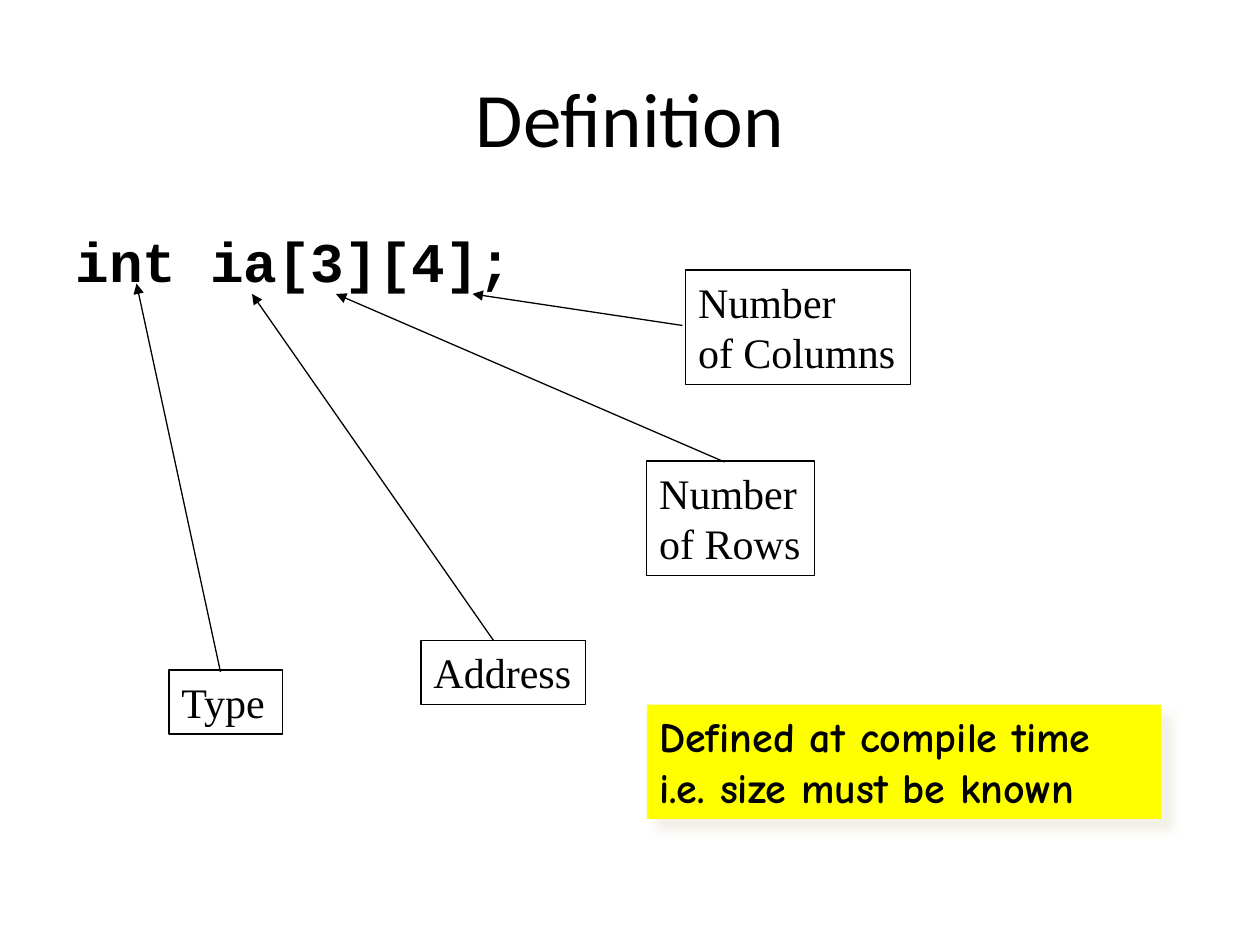
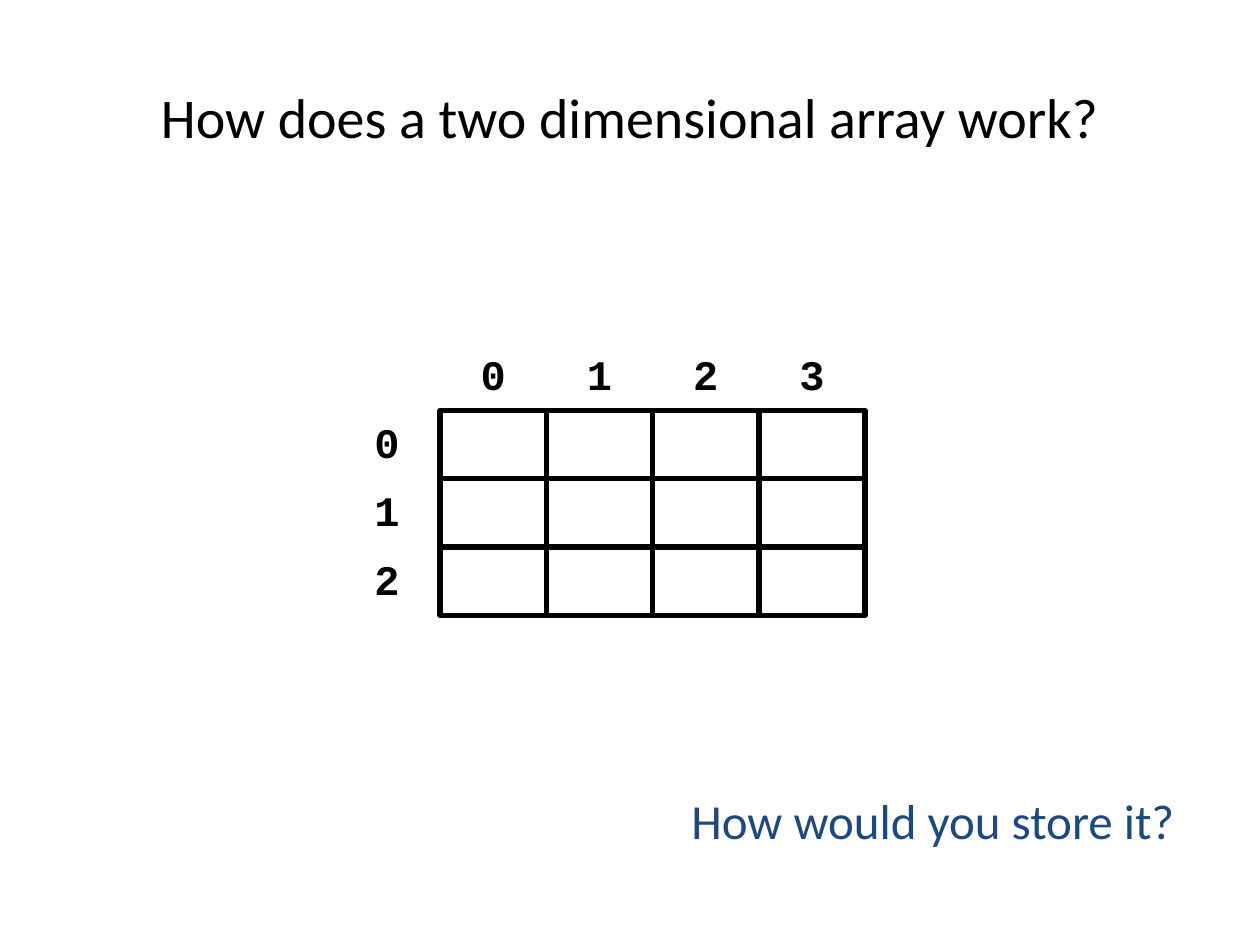
from dataclasses import dataclass

import lxml.etree
import pptx
import pptx.dml.color
import pptx.enum.shapes
import pptx.enum.text
import pptx.oxml
import pptx.oxml.ns
import pptx.util

# Shared grid, colours and text formats
COLUMNS, ROWS = 120, 90
UNIT = pptx.util.Inches(10) // COLUMNS
BLACK, WHITE, YELLOW, NAVY, SAND = "000000", "FFFFFF", "FFFF00", "1F497D", "EEECE1"
ALIGN = pptx.enum.text.PP_ALIGN
ANCHOR = pptx.enum.text.MSO_ANCHOR
RECTANGLE = pptx.enum.shapes.MSO_SHAPE.RECTANGLE

LABEL_FONT = {"name": "Times New Roman", "size": 24}
NOTE_FONT = {"name": "Comic Neue", "size": 24, "bold": True}
INDEX_FONT = {"name": "Courier New", "size": 24, "bold": True}
CODE_FONT = {"name": "Courier New", "size": 32, "bold": True}
QUESTION_FONT = {"name": "Calibri", "size": 28}


@dataclass(frozen=True)
class Area:
    """A rectangle in grid columns and rows."""
    left: float
    top: float
    width: float
    height: float

    def lengths(self) -> list[int]:
        return [grid(value) for value in (self.left, self.top, self.width, self.height)]


@dataclass(frozen=True)
class Callout:
    """A boxed label with an arrow running from it to a part of the code."""
    lines: tuple[str, ...]
    area: Area
    start: tuple[float, float]
    target: tuple[float, float]


CALLOUTS = (
    Callout(("Type",), Area(16.1, 63.8, 10.8, 6.1), (21, 64), (13, 27)),
    Callout(("Address",), Area(40.1, 61, 15.7, 6.1), (47, 61), (24, 28)),
    Callout(("Number", "of Rows"), Area(61.6, 43.9, 16, 10.9), (69, 44), (32, 28)),
    Callout(("Number", "of Columns"), Area(65.3, 25.7, 21.4, 10.9), (65, 31), (45, 28)),
)


def grid(value: float) -> int:
    return round(value * UNIT)


def colour(value: str) -> pptx.dml.color.RGBColor:
    return pptx.dml.color.RGBColor.from_string(value)


def write(shape, lines, font: dict, ink: str = BLACK, align=ALIGN.LEFT,
          anchor=ANCHOR.TOP, wrap: bool = True) -> None:
    frame = shape.text_frame
    frame.text = "\n".join(lines)
    frame.word_wrap = wrap
    frame.vertical_anchor = anchor
    for paragraph in frame.paragraphs:
        paragraph.alignment = align
        for span in paragraph.runs:
            for key, value in font.items():
                setattr(span.font, key, pptx.util.Pt(value) if key == "size" else value)
            span.font.color.rgb = colour(ink)


def add_box(shapes, area: Area, fill: str | None = None, line_width: float = 0):
    box = shapes.add_shape(RECTANGLE, *area.lengths())
    box.shadow.inherit = False
    if fill:
        box.fill.solid()
        box.fill.fore_color.rgb = colour(fill)
    else:
        box.fill.background()
    if line_width:
        box.line.color.rgb = colour(BLACK)
        box.line.width = pptx.util.Pt(line_width)
    else:
        box.line.fill.background()
    return box


def add_text(shapes, area: Area, text: str, font: dict, **options) -> None:
    write(shapes.add_textbox(*area.lengths()), [text], font, **options)


def add_arrow(shapes, start: tuple[float, float], target: tuple[float, float]) -> None:
    arrow = shapes.add_connector(pptx.enum.shapes.MSO_CONNECTOR.STRAIGHT,
                                 *map(grid, start + target))
    arrow.line.color.rgb = colour(BLACK)
    arrow.line.width = pptx.util.Pt(0.75)
    tag = pptx.oxml.ns.qn
    lxml.etree.SubElement(arrow.line._get_or_add_ln(), tag("a:tailEnd"), type="triangle")
    lxml.etree.SubElement(arrow._element.spPr, tag("a:effectLst"))


def add_shadow(box) -> None:
    effects = box._element.spPr.find(pptx.oxml.ns.qn("a:effectLst"))
    effects.append(pptx.oxml.parse_xml(
        f'<a:outerShdw {pptx.oxml.ns.nsdecls("a")} blurRad="63500" dist="107950" '
        f'dir="2700000" algn="ctr" rotWithShape="0"><a:srgbClr val="{SAND}">'
        '<a:alpha val="75000"/></a:srgbClr></a:outerShdw>'))


def add_page(deck, layout: int, title: str, size: float):
    page = deck.slides.add_slide(deck.slide_layouts[layout])
    write(page.shapes.title, [title], {"name": "Calibri", "size": size},
          align=ALIGN.CENTER, anchor=ANCHOR.MIDDLE)
    return page


def build_definition(deck) -> None:
    page = add_page(deck, 1, "Definition", 44)

    # Code line in the body placeholder
    body = page.placeholders[1]
    body.left, body.top, body.width, body.height = Area(6, 21, 49.6, 8.5).lengths()
    write(body, ["int ia[3][4];"], CODE_FONT)
    paragraph = body.text_frame.paragraphs[0]
    paragraph.space_before = pptx.util.Pt(0)
    properties = paragraph._p.get_or_add_pPr()
    lxml.etree.SubElement(properties, pptx.oxml.ns.qn("a:buNone"))

    # Labels, note and arrows
    for callout in CALLOUTS:
        box = add_box(page.shapes, callout.area, WHITE, 0.75)
        write(box, callout.lines, LABEL_FONT, wrap=False)
    note = add_box(page.shapes, Area(61.6, 67.1, 49, 10.9), YELLOW)
    write(note, ["Defined at compile time", "i.e. size must be known"], NOTE_FONT)
    add_shadow(note)
    for callout in CALLOUTS:
        add_arrow(page.shapes, callout.start, callout.target)


def build_array(deck) -> None:
    page = add_page(deck, 5, "How does a two dimensional array work?", 32)
    add_text(page.shapes, Area(55.8, 72.1, 57.2, 12), "How would you store it?",
             QUESTION_FONT, ink=NAVY, align=ALIGN.RIGHT, anchor=ANCHOR.MIDDLE)

    # Array cells, with indices in the first row and column
    array = page.shapes.add_group_shape().shapes
    left, top, width, height = 31.8, 32.6, 10.12, 6.5
    for row in range(4):
        for column in range(5):
            area = Area(left + column * width, top + row * height, width, height)
            if row and column:
                add_box(array, area, line_width=3)
            elif row or column:
                add_text(array, area, str(row + column - 1), INDEX_FONT,
                         align=ALIGN.CENTER, wrap=False)


def main() -> None:
    deck = pptx.Presentation()
    deck.slide_width, deck.slide_height = grid(COLUMNS), grid(ROWS)
    build_definition(deck)
    build_array(deck)
    deck.save("out.pptx")


if __name__ == "__main__":
    main()
